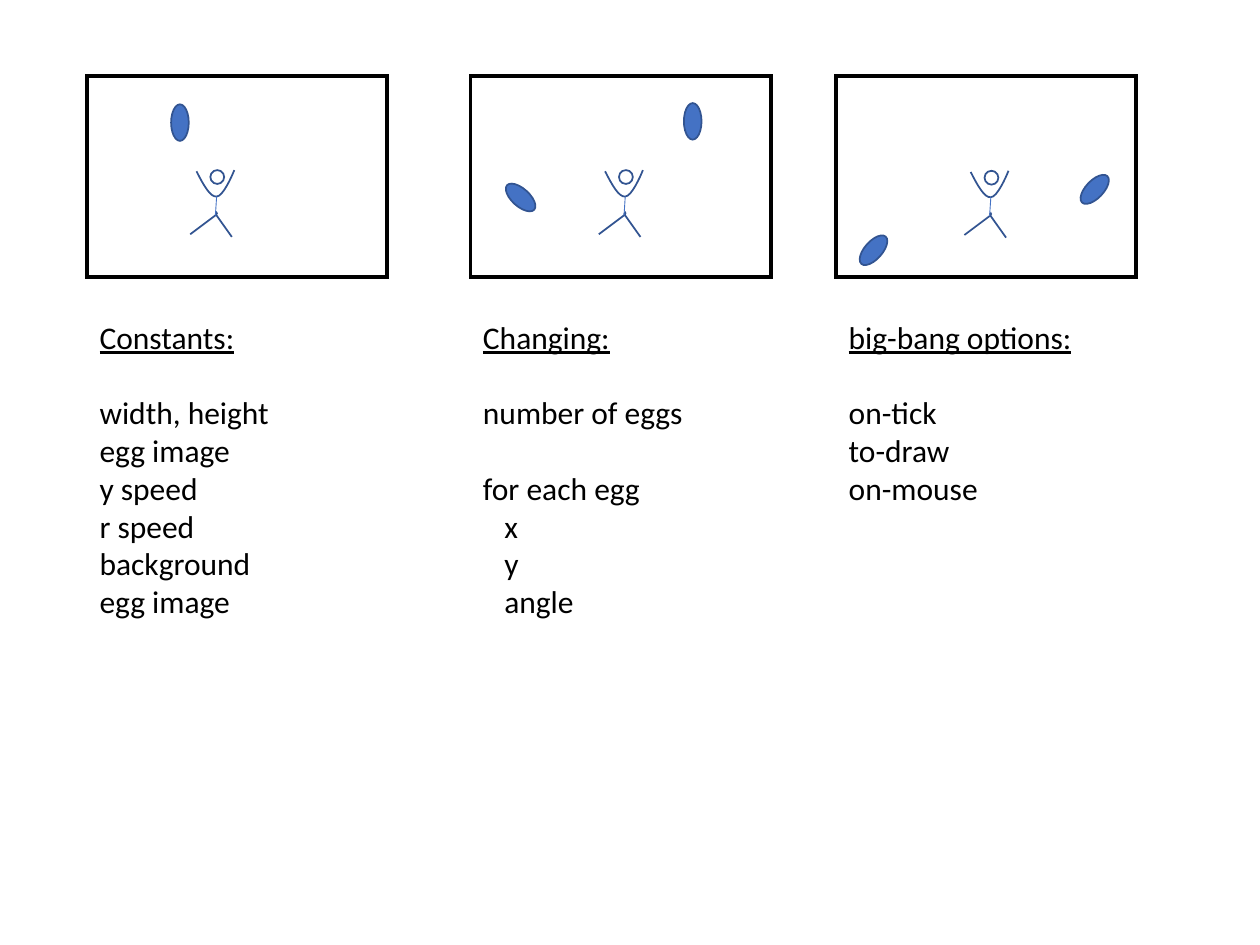
from dataclasses import dataclass
from typing import NamedTuple

from lxml import etree
from pptx import Presentation
from pptx.dml.color import RGBColor
from pptx.enum.shapes import MSO_CONNECTOR, MSO_SHAPE
from pptx.enum.text import MSO_AUTO_SIZE
from pptx.oxml.ns import qn
from pptx.util import Pt

RECTANGLE, OVAL = MSO_SHAPE.RECTANGLE, MSO_SHAPE.OVAL
STRAIGHT = MSO_CONNECTOR.STRAIGHT
FIT_SHAPE = MSO_AUTO_SIZE.SHAPE_TO_FIT_TEXT


@dataclass(frozen=True)
class Theme:
    ink: RGBColor = RGBColor(0, 0, 0)
    blue: RGBColor = RGBColor(0x44, 0x72, 0xC4)
    outline: RGBColor = RGBColor(0x32, 0x54, 0x91)
    font: str = "Calibri"
    text_size: float = 18
    frame_line: float = 2.25
    thin_line: float = 1
    spine_line: float = 0.5


class Point(NamedTuple):
    x: float
    y: float


class Egg(NamedTuple):
    left: float
    top: float
    angle: float = 0


class Line(NamedTuple):
    text: str
    indent: float = 0
    before: float = 0


class Scene(NamedTuple):
    left: float
    juggler: Point
    eggs: list[Egg]
    heading: str
    lines: list[Line]


THEME = Theme()
FRAME_TOP, FRAME_WIDTH, FRAME_HEIGHT = 43.4, 171.5, 114.7
NOTES_TOP, NOTES_WIDTH = 178, 181.5
LINE_GAP = 21.6  # height of one text line
SUB_INDENT = 12.2
EGG_WIDTH, EGG_HEIGHT = 10.1, 20.9
HEAD_SIZE = 7.9

# A limb is a start point, then segments: one point is straight, three a curve
ARMS = (Point(3.6, 0.7), [
    (Point(7.6, 8.6), Point(11.5, 15.5), Point(15.1, 15.1)),
    (Point(18.7, 15.1), Point(23.8, 3.6), Point(25.2, 0)),
])
HIP = Point(14.4, 25.9)
LEGS = (Point(0, 36.7), [
    (HIP,),
    (Point(16.6, 23.8), Point(13.7, 23.8), Point(15.1, 25.9)),
    (Point(16.6, 28.1), Point(20.2, 33.1), Point(23.8, 38.2)),
])
NECK = Point(15.1, 15.1)
HEAD = Point(11.5, 0)

SCENES = [
    Scene(49.8, Point(108.7, 97.2), [Egg(97.8, 59.6)], "Constants:",
          [Line(text) for text in ("width, height", "egg image", "y speed",
                                   "r speed", "background", "egg image")]),
    Scene(268.9, Point(342.2, 97.2), [Egg(292.4, 102.4, 132), Egg(390.8, 58.9)], "Changing:",
          [Line("number of eggs"), Line("for each egg", before=LINE_GAP),
           *(Line(text, SUB_INDENT) for text in ("x", "y", "angle"))]),
    Scene(477.9, Point(551.1, 97.6), [Egg(494.1, 132.5, 221.7), Egg(620.5, 97.8, 43.7)],
          "big-bang options:",
          [Line(text) for text in ("on-tick", "to-draw", "on-mouse")]),
]


def set_line(shape, color: RGBColor, width: float) -> None:
    shape.line.color.rgb = color
    shape.line.width = Pt(width)
    etree.SubElement(shape.element.spPr.find(qn("a:ln")), qn("a:miter"), lim="800000")


def add_preset(shapes, preset, left: float, top: float, width: float, height: float, *,
               line: RGBColor, line_width: float, fill: RGBColor | None = None,
               angle: float = 0) -> None:
    shape = shapes.add_shape(preset, Pt(left), Pt(top), Pt(width), Pt(height))
    shape.shadow.inherit = False
    shape.rotation = angle
    if fill is None:
        shape.fill.background()
    else:
        shape.fill.solid()
        shape.fill.fore_color.rgb = fill
    set_line(shape, line, line_width)


def bend_segments(limb, segments: list[list[tuple[int, int]]]) -> None:
    """Turn the straight segments that have control points into cubic curves."""
    for straight, points in zip(list(limb.element.iter(qn("a:lnTo"))), segments):
        if len(points) == 1:
            continue
        curve = etree.Element(qn("a:cubicBezTo"))
        for x, y in points:
            etree.SubElement(curve, qn("a:pt"), x=str(x - limb.left), y=str(y - limb.top))
        straight.getparent().replace(straight, curve)


def add_juggler(shapes, origin: Point) -> None:
    def place(point: Point) -> tuple[int, int]:
        return Pt(origin.x + point.x), Pt(origin.y + point.y)

    parts = shapes.add_group_shape().shapes
    for start, segments in (ARMS, LEGS):
        placed = [[place(point) for point in segment] for segment in segments]
        builder = parts.build_freeform(*place(start))
        builder.add_line_segments([segment[-1] for segment in placed], close=False)
        limb = builder.convert_to_shape()
        bend_segments(limb, placed)
        limb.shadow.inherit = False
        limb.fill.background()
        set_line(limb, THEME.outline, THEME.thin_line)
    spine = parts.add_connector(STRAIGHT, *place(NECK), *place(HIP))
    set_line(spine, THEME.blue, THEME.spine_line)
    etree.SubElement(spine.element.spPr, qn("a:effectLst"))
    add_preset(parts, OVAL, origin.x + HEAD.x, origin.y + HEAD.y, HEAD_SIZE, HEAD_SIZE,
               line=THEME.outline, line_width=THEME.thin_line)


def write_text(paragraph, text: str, *, underline: bool = False, indent: float = 0,
               before: float = 0, after: float = 0) -> None:
    run = paragraph.add_run()
    run.text = text
    run.font.name = THEME.font
    run.font.size = Pt(THEME.text_size)
    run.font.color.rgb = THEME.ink
    run.font.underline = underline
    paragraph.space_before = Pt(before)
    paragraph.space_after = Pt(after)
    if indent:
        paragraph._p.get_or_add_pPr().set("marL", str(Pt(indent)))


def add_notes(shapes, scene: Scene) -> None:
    rows = 2 + len(scene.lines) + sum(line.before > 0 for line in scene.lines)
    box = shapes.add_textbox(Pt(scene.left), Pt(NOTES_TOP), Pt(NOTES_WIDTH),
                             Pt(rows * LINE_GAP + 7.2))
    frame = box.text_frame
    frame.word_wrap = True
    frame.auto_size = FIT_SHAPE
    write_text(frame.paragraphs[0], scene.heading, underline=True, after=LINE_GAP)
    for line in scene.lines:
        write_text(frame.add_paragraph(), line.text, indent=line.indent, before=line.before)


deck = Presentation()
deck.slide_width, deck.slide_height = Pt(720), Pt(540)
slide = deck.slides.add_slide(deck.slide_layouts[6])

# Each scene: frame, juggler, eggs and the notes below
for scene in SCENES:
    add_preset(slide.shapes, RECTANGLE, scene.left, FRAME_TOP, FRAME_WIDTH, FRAME_HEIGHT,
               line=THEME.ink, line_width=THEME.frame_line)
    add_juggler(slide.shapes, scene.juggler)
    for egg in scene.eggs:
        add_preset(slide.shapes, OVAL, egg.left, egg.top, EGG_WIDTH, EGG_HEIGHT,
                   line=THEME.outline, line_width=THEME.thin_line,
                   fill=THEME.blue, angle=egg.angle)
    add_notes(slide.shapes, scene)

deck.save("out.pptx")
